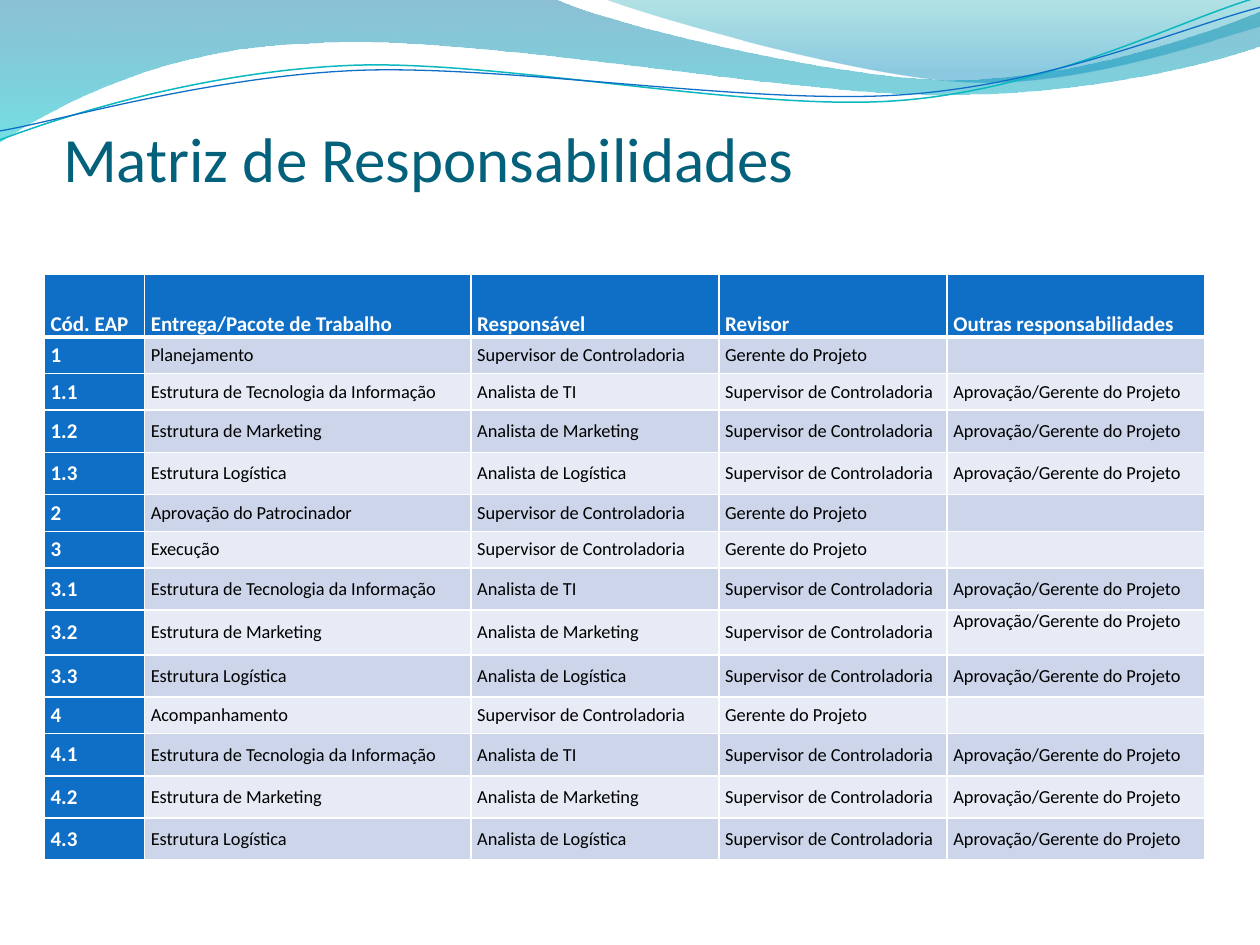
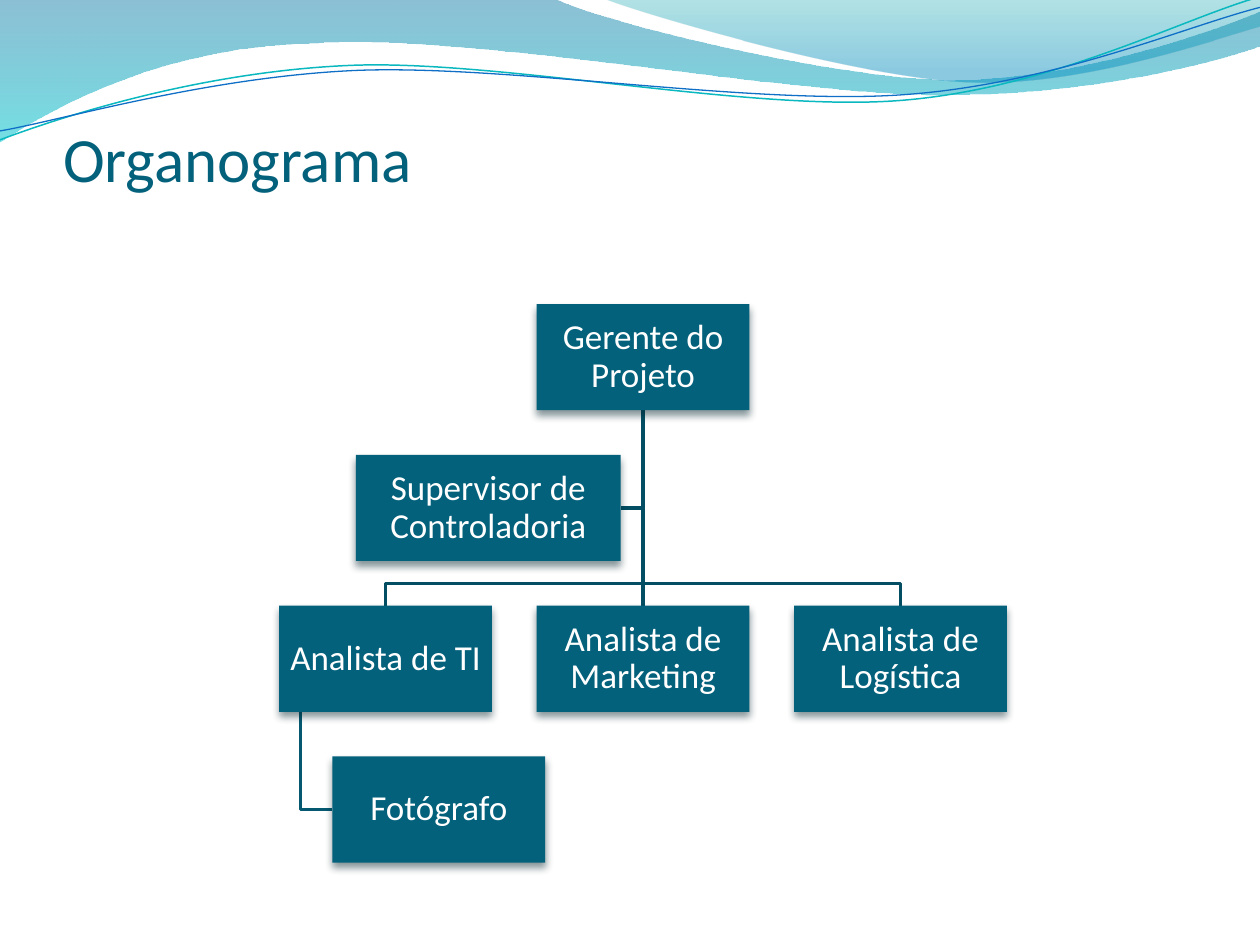
"""Builds two project slides: a responsibility matrix and an organisation chart."""
import dataclasses

import lxml.etree
import pptx
import pptx.dml.color
import pptx.enum.shapes
import pptx.enum.text
import pptx.oxml.ns
import pptx.util

Cm = pptx.util.Cm
Pt = pptx.util.Pt
qn = pptx.oxml.ns.qn
ALIGN = pptx.enum.text.PP_ALIGN
ANCHOR = pptx.enum.text.MSO_ANCHOR


@dataclasses.dataclass(frozen=True)
class Theme:
    """Colours, font and type sizes of the deck."""
    font: str = "Calibri"
    teal: str = "04617B"
    link: str = "034E63"
    twig: str = "045870"
    shade: str = "00232C"
    blue: str = "0F6FC6"
    aqua: str = "0AB8BF"
    dark: str = "CCD5EA"
    light: str = "E7EBF5"
    white: str = "FFFFFF"
    black: str = "000000"
    title: float = 36
    box: float = 20
    head: float = 12
    body: float = 10.5


T = Theme()

# Wave outlines in cm: a pair is a straight step, six numbers are a Bezier curve.
BAND = [(0, 0), (11.18, -0.03),
        (12.09, 0.43, 16.87, 1.6, 19.25, 1.6),
        (21.67, 1.6, 24.33, 0.66, 25.4, 0.23), (25.43, 0.91),
        (24.97, 1.12, 22.1, 1.93, 18.95, 1.91),
        (15.8, 1.91, 9.7, 0.71, 6.53, 0.86),
        (3.28, 0.91, 1.17, 2.11, -0.03, 2.87), (0, 0)]
CREST = [(12.17, -0.03),
         (12.93, 0.28, 17.32, 1.57, 19.53, 1.65),
         (21.74, 1.75, 24.41, 0.81, 25.4, 0.53), (25.4, 0), (12.17, -0.03)]
UPPER = [(0, 2.82),
         (1.22, 2.36, 4.01, 1.45, 7.04, 1.32),
         (10.03, 1.19, 15.06, 2.26, 18.11, 2.03),
         (21.16, 1.8, 23.83, 0.38, 25.35, -0.05)]
LOWER = [(0, 2.64),
         (1.19, 2.44, 4.17, 1.55, 7.19, 1.42),
         (10.24, 1.3, 15.16, 2.13, 18.21, 1.91),
         (21.23, 1.7, 23.9, 0.53, 25.4, 0.15)]

HEADS = ["Cód. EAP", "Entrega/Pacote de Trabalho", "Responsável", "Revisor",
         "Outras responsabilidades"]
PHASES = [("Planejamento", True), ("Aprovação do Patrocinador", False),
          ("Execução", True), ("Acompanhamento", True)]
PACKS = [("Estrutura de Tecnologia da Informação", "Analista de TI"),
         ("Estrutura de Marketing", "Analista de Marketing"),
         ("Estrutura Logística", "Analista de Logística")]
BOSS = "Gerente do Projeto"
CHIEF = "Supervisor de Controladoria"


def rgb(code):
    """Return a colour from its hex code."""
    return pptx.dml.color.RGBColor.from_string(code)


def style(para, size, color, bold=False, align=ALIGN.LEFT):
    """Format a paragraph and its runs."""
    para.alignment = align
    for run in para.runs:
        run.font.name = T.font
        run.font.size = Pt(size)
        run.font.bold = bold
        run.font.color.rgb = rgb(color)


def pad(item, left, top, right, bottom):
    """Set the inner margins, in cm, of a text frame or a cell."""
    item.margin_left, item.margin_top = Cm(left), Cm(top)
    item.margin_right, item.margin_bottom = Cm(right), Cm(bottom)


def bend(shape, steps):
    """Join each three segments that stand for a curve into one Bezier."""
    parts = iter(shape.element.xpath(".//a:path/a:lnTo"))
    for step in steps[1:]:
        first = next(parts)
        if len(step) == 6:
            first.tag = qn("a:cubicBezTo")
            for _ in range(2):
                other = next(parts)
                first.append(other[0])
                other.getparent().remove(other)


def draw(slide, steps, close=False):
    """Draw an outline given in cm, without shadow."""
    points = [(Cm(step[i]), Cm(step[i + 1]))
              for step in steps for i in range(0, len(step), 2)]
    pen = slide.shapes.build_freeform(*points[0])
    pen.add_line_segments(points[1:], close=close)
    shape = pen.convert_to_shape()
    bend(shape, steps)
    shape.shadow.inherit = False
    return shape


def stroke(slide, steps, color, width):
    """Draw an open, unfilled line."""
    shape = draw(slide, steps)
    shape.fill.background()
    shape.line.color.rgb = rgb(color)
    shape.line.width = Pt(width)
    return shape


def wave(slide, steps, stops):
    """Draw a closed wave with a see-through gradient from top to bottom."""
    shape = draw(slide, steps, close=True)
    shape.line.fill.background()
    shape.fill.gradient()
    shape.fill.gradient_angle = 270
    for stop, (place, color, _) in zip(shape.fill.gradient_stops, stops):
        stop.position = place
        stop.color.rgb = rgb(color)
    tints = shape.element.xpath(".//a:gs/a:srgbClr")
    for tint, (_, _, alpha) in zip(tints, stops):
        lxml.etree.SubElement(tint, qn("a:alpha"), val=str(alpha * 1000))
    return shape


def dress(slide):
    """Draw the waves and move them to the layout, which all slides share."""
    parts = [wave(slide, BAND, [(0, "0074A1", 45), (1, "00C6CF", 55)]),
             wave(slide, CREST, [(0, "00A1A9", 30), (0.8, "008BBF", 45)]),
             stroke(slide, UPPER, T.aqua, 0.85),
             stroke(slide, LOWER, T.blue, 0.75)]
    for part in parts:
        slide.slide_layout.shapes.element.append(part.element)


def start(deck, text):
    """Add a title-only slide and set its title."""
    slide = deck.slides.add_slide(deck.slide_layouts[5])
    title = slide.shapes.title
    title.left, title.top = Cm(1.27), Cm(1.96)
    title.width, title.height = Cm(22.86), Cm(1.98)
    frame = title.text_frame
    frame.text = text
    frame.auto_size = pptx.enum.text.MSO_AUTO_SIZE.NONE
    frame.vertical_anchor = ANCHOR.BOTTOM
    pad(frame, 0, 0.13, 0, 0)
    style(frame.paragraphs[0], T.title, T.teal)
    return slide


def tasks():
    """List the matrix rows: each phase, then its work packages."""
    rows = []
    for code, (phase, split) in enumerate(PHASES, 1):
        rows.append([str(code), phase, CHIEF, BOSS, ""])
        if split:
            for part, (pack, owner) in enumerate(PACKS, 1):
                rows.append([f"{code}.{part}", pack, owner, CHIEF,
                             f"Aprovação/{BOSS}"])
    return rows


def height(code):
    """Return the height in cm of the row with this code."""
    if code == "3.2":
        return 0.9
    return 0.85 if "." in code and code != "1.1" else 0.74


def edge(cell, top, bottom):
    """Give a cell white borders; top and bottom widths in points."""
    props = cell._tc.get_or_add_tcPr()
    for side, width in zip("LRTB", (1, 1, top, bottom)):
        line = lxml.etree.SubElement(props, qn("a:ln" + side),
                                     w=str(Pt(width)))
        fill = lxml.etree.SubElement(line, qn("a:solidFill"))
        lxml.etree.SubElement(fill, qn("a:srgbClr"), val=T.white)


def fill_cell(cell, text, row, col):
    """Write and format one cell of the matrix."""
    key = row == 0 or col == 0
    edge(cell, 3 if row == 1 else 1, 3 if row == 0 else 1)
    cell.fill.solid()
    band = T.dark if row % 2 else T.light
    cell.fill.fore_color.rgb = rgb(T.blue if key else band)
    pad(cell, 0.13, 0, 0.13, 0)
    cell.vertical_anchor = ANCHOR.MIDDLE if row else ANCHOR.BOTTOM
    para = cell.text_frame.paragraphs[0]
    if not text:
        lxml.etree.SubElement(para._p, qn("a:endParaRPr"),
                              sz=str(int(T.body * 100)))
        return
    para.text = text
    if key:
        style(para, T.head, T.white, True, ALIGN.JUSTIFY)
    else:
        style(para, T.body, T.black)


def matrix(slide):
    """Add the responsibility matrix."""
    rows = [HEADS] + tasks()
    wide = [2.02, 6.58, 5, 4.6, 5.2]
    tall = [1.26] + [height(row[0]) for row in rows[1:]]
    table = slide.shapes.add_table(len(rows), len(wide), Cm(0.89), Cm(5.53),
                                   Cm(sum(wide)), Cm(sum(tall))).table
    for col, size in zip(table.columns, wide):
        col.width = Cm(size)
    for line, size in zip(table.rows, tall):
        line.height = Cm(size)
    for r, row in enumerate(rows):
        for c, text in enumerate(row):
            fill_cell(table.cell(r, c), text, r, c)
        if row[0] == "3.2":
            table.cell(r, 4).vertical_anchor = ANCHOR.TOP


def box(slide, text, left, top, width, height):
    """Add one post of the chart: a shaded box with centred text."""
    shape = slide.shapes.add_shape(
        pptx.enum.shapes.MSO_SHAPE.RECTANGLE,
        Cm(left), Cm(top), Cm(width), Cm(height))
    shape.fill.solid()
    shape.fill.fore_color.rgb = rgb(T.teal)
    shape.line.fill.background()
    shape.shadow.inherit = False
    cast = lxml.etree.SubElement(
        shape.element.spPr.find(qn("a:effectLst")), qn("a:outerShdw"),
        blurRad=str(Pt(4.5)), dist=str(Pt(3)), dir="5400000", rotWithShape="0")
    tint = lxml.etree.SubElement(cast, qn("a:srgbClr"), val=T.shade)
    lxml.etree.SubElement(tint, qn("a:alpha"), val="48000")
    frame = shape.text_frame
    frame.text = text
    frame.word_wrap = True
    frame.vertical_anchor = ANCHOR.MIDDLE
    pad(frame, 0.03, 0.03, 0.03, 0.03)
    frame.paragraphs[0].line_spacing = 0.9
    style(frame.paragraphs[0], T.box, T.white, align=ALIGN.CENTER)


def chart(slide):
    """Add the organisation chart, lines first and boxes on top."""
    wide, tall, gap, aide = 4.29, 2.14, 0.45, 5.34
    cols = [5.63 + 5.19 * i for i in range(3)]
    tops = [6.13 + 3.04 * i for i in range(4)]
    mids = [left + wide / 2 for left in cols]
    trunk, foot, bar = mids[1], tops[0] + tall, tops[2] - gap
    level, low = tops[1] + tall / 2, tops[3] + tall / 2
    stub, inner = cols[0] + wide / 10, cols[0] + wide / 4

    def branch(mid):
        """Return the elbow from the top box to a box of the third row."""
        return [(trunk, foot), (trunk, bar), (mid, bar), (mid, tops[2])]

    stroke(slide, [(trunk, foot), (trunk, level), (trunk - gap, level)],
           T.link, 2)
    stroke(slide, branch(mids[2]), T.link, 2)
    stroke(slide, [(trunk, foot), (trunk, tops[2])], T.link, 2)
    stroke(slide, [(stub, tops[2] + tall), (stub, low), (inner, low)],
           T.twig, 2)
    stroke(slide, branch(mids[0]), T.link, 2)

    box(slide, BOSS, cols[1], tops[0], wide, tall)
    box(slide, PACKS[0][1], cols[0], tops[2], wide, tall)
    box(slide, "Fotógrafo", inner, tops[3], wide, tall)
    for left, (_, owner) in zip(cols[1:], PACKS[1:]):
        box(slide, owner, left, tops[2], wide, tall)
    box(slide, CHIEF, trunk - gap - aide, tops[1], aide, tall)


def main():
    """Build and save the deck."""
    deck = pptx.Presentation()
    deck.slide_width, deck.slide_height = Cm(25.4), Cm(19.05)
    first = start(deck, "Matriz de Responsabilidades")
    dress(first)
    matrix(first)
    chart(start(deck, "Organograma"))
    deck.save("out.pptx")


main()
